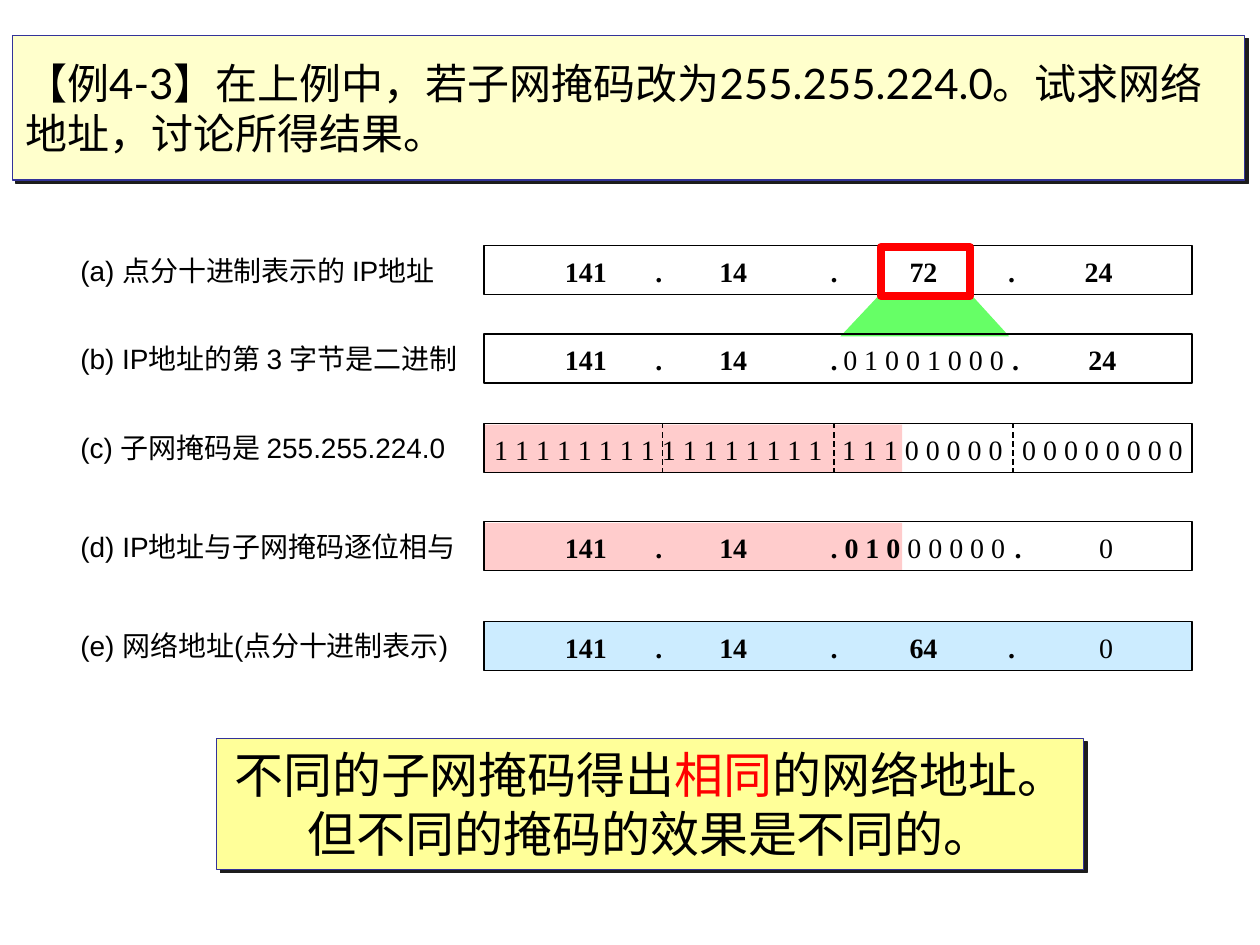
from lxml import etree
from pptx import Presentation
from pptx import util as u
from pptx.dml.color import RGBColor
from pptx.enum import dml, shapes, text
from pptx.oxml import parse_xml
from pptx.oxml.ns import qn

In = u.Inches
A_NS = "http://schemas.openxmlformats.org/drawingml/2006/main"
SHADOW = (f'<a:effectLst xmlns:a="{A_NS}"><a:outerShdw dist="35560" dir="2700000" algn="ctr" '
          'rotWithShape="0"><a:srgbClr val="1C1C1C"/></a:outerShdw></a:effectLst>')


def style(sp, fill=None, line=None, width=0.75, shadow=False):
    if fill:
        sp.fill.solid()
        sp.fill.fore_color.rgb = RGBColor.from_string(fill)
    else:
        sp.fill.background()
    if line:
        sp.line.color.rgb = RGBColor.from_string(line)
        sp.line.width = u.Pt(width)
    else:
        sp.line.fill.background()
    if shadow:
        sp._element.spPr.append(parse_xml(SHADOW))
    else:
        sp.shadow.inherit = False


def write(sp, *paras, font="Times New Roman", size=16, align="LEFT", anchor="MIDDLE", wrap=True):
    """Fill a shape; each paragraph is a list of (text, bold, colour) runs."""
    tf = sp.text_frame
    tf.word_wrap = wrap
    tf.auto_size = text.MSO_AUTO_SIZE.NONE
    tf.vertical_anchor = text.MSO_ANCHOR[anchor]
    for i, runs in enumerate(paras):
        p = tf.paragraphs[0] if i == 0 else tf.add_paragraph()
        p.alignment = text.PP_ALIGN[align]
        for words, bold, colour in runs:
            r = p.add_run()
            r.text = words
            r.font.name, r.font.size, r.font.bold = font, u.Pt(size), bold
            r.font.color.rgb = RGBColor.from_string(colour)


prs = Presentation()
prs.slide_width, prs.slide_height = In(10), In(7.5)
s = prs.slides.add_slide(prs.slide_layouts[5])
BLACK, RED, NAVY, PINK = "000000", "FF0000", "333399", "FFCCCC"
RECT = shapes.MSO_SHAPE.RECTANGLE

# Title
title = s.shapes.title
title.left, title.top, title.width, title.height = In(0.1), In(0.28), In(9.78), In(1.15)
style(title, "FFFFCC", NAVY, shadow=True)
write(title, [("【例4-3】在上例中，若子网掩码改为255.255.224.0。试求网络地址，讨论所得结果。", False, BLACK)],
      font="Lato", size=24)

# Green funnel from the third byte to its binary form
fb = s.shapes.build_freeform(In(6.99), In(2.33), scale=1.0)
fb.add_line_segments([(In(x), In(y)) for x, y in ((7.7, 2.33), (8.01, 2.67), (6.67, 2.67))])
style(fb.convert_to_shape(), "66FF66")

# Address rows: label, label width, top, fill, masked part shaded, tokens (centre x, runs)
BAR_LEFT, BAR_WIDTH, BAR_HEIGHT, MASK_RIGHT = 3.84, 5.62, 0.39, 7.16


def bold(x, words):
    return x, [(words, True, BLACK)]


def plain(x, words):
    return x, [(words, False, BLACK)]


prefix = [bold(4.65, "141"), bold(5.23, "."), bold(5.82, "14"), bold(6.62, ".")]
ones, zeros = "1 1 1 1 1 1 1 1", "0 0 0 0 0 0 0 0"
rows = [
    ("(a) 点分十进制表示的 IP地址", 3.06, 1.95, None, False,
     prefix + [bold(7.33, "72"), bold(8.03, "."), bold(8.72, "24")]),
    ("(b) IP地址的第 3 字节是二进制", 3.24, 2.65, None, False,
     prefix + [plain(7.33, "0 1 0 0 1 0 0 0"), bold(8.06, "."), bold(8.75, "24")]),
    ("(c) 子网掩码是 255.255.224.0", 3.15, 3.36, None, True,
     [plain(4.56, ones), plain(5.89, ones), plain(7.32, "1 1 1 0 0 0 0 0"), plain(8.75, zeros)]),
    ("(d) IP地址与子网掩码逐位相与", 3.22, 4.14, None, True,
     prefix + [(7.34, [("0 1 0", True, BLACK), (" 0 0 0 0 0", False, BLACK)]),
               bold(8.08, "."), plain(8.78, "0")]),
    ("(e) 网络地址(点分十进制表示)", 3.16, 4.93, "CCECFF", False,
     prefix + [bold(7.33, "64"), bold(8.03, "."), plain(8.78, "0")]),
]
for label, label_width, top, fill, masked, tokens in rows:
    if masked:
        mask = s.shapes.add_shape(RECT, In(BAR_LEFT + 0.01), In(top + 0.01),
                                  In(MASK_RIGHT - BAR_LEFT - 0.01), In(0.38))
        style(mask, PINK)
    bar = s.shapes.add_shape(RECT, In(BAR_LEFT), In(top), In(BAR_WIDTH), In(BAR_HEIGHT))
    style(bar, fill, BLACK)
    box = s.shapes.add_textbox(In(0.54), In(top + 0.01), In(label_width), In(0.37))
    write(box, [(label, False, BLACK)], font="Arial", anchor="TOP")
    for centre, runs in tokens:
        width = 0.2 + 0.1 * sum(len(words) for words, *_ in runs)
        box = s.shapes.add_textbox(In(centre - width / 2), In(top + 0.02), In(width), In(0.37))
        write(box, runs, align="CENTER", wrap=False)

# Byte boundaries in the mask row
for x in (5.26, 6.62, 8.04):
    c = s.shapes.add_connector(shapes.MSO_CONNECTOR.STRAIGHT, In(x), In(3.36), In(x), In(3.75))
    c.line.color.rgb = RGBColor.from_string(BLACK)
    c.line.width = u.Pt(0.75)
    c.line.dash_style = dml.MSO_LINE.DASH
    etree.SubElement(c._element.spPr, qn("a:effectLst"))

# Highlight on the third byte
highlight = s.shapes.add_shape(RECT, In(6.99), In(1.96), In(0.71), In(0.39))
style(highlight, line=RED, width=4.5)

# Conclusion
conclusion = s.shapes.add_shape(RECT, In(1.72), In(5.86), In(6.88), In(1.04))
style(conclusion, "FFFF99", NAVY, shadow=True)
write(conclusion,
      [("不同的子网掩码得出", False, BLACK), ("相同", False, RED), ("的网络地址。", False, BLACK)],
      [("但不同的掩码的效果是不同的。", False, BLACK)],
      font="Lato", size=28, align="CENTER")

prs.save("out.pptx")
